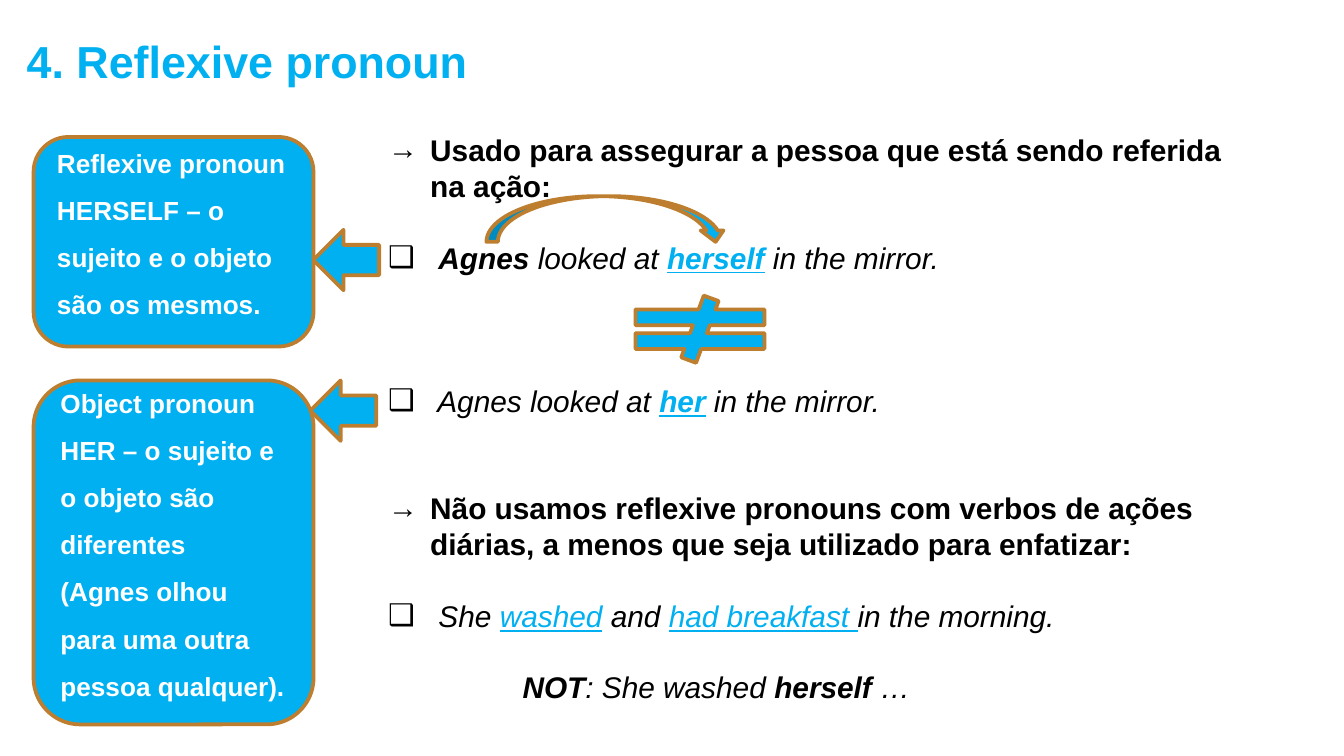
from lxml.etree import SubElement
from pptx import Presentation
from pptx.dml.color import RGBColor
from pptx.enum.shapes import MSO_SHAPE as Kind
from pptx.enum.text import MSO_ANCHOR as Anchor, PP_ALIGN as Align
from pptx.oxml.ns import qn
from pptx.util import Pt

BLUE, GOLD, BLACK, WHITE = "00B0F0", "BD7F2F", "000000", "FFFFFF"
ROW = 19.2

NOTES = [
    ("→", 0, [("Usado para assegurar a pessoa que está sendo referida na ação:", "b")]),
    ("❑", 1, [(" ", ""), ("Agnes", "bi"), (" looked at ", "i"),
              ("herself", "biu"), (" in the mirror.", "i")]),
    ("❑", 3, [(" Agnes looked at ", "i"), ("her", "biu"), (" in the mirror.", "i")]),
    ("→", 2, [("Não usamos reflexive pronouns com verbos de ações diárias, "
               "a menos que seja utilizado para enfatizar:", "b")]),
    ("❑", 1, [(" She ", "i"), ("washed", "iu"), (" and ", "i"),
              ("had breakfast ", "iu"), ("in the morning.", "i")]),
    ("", 1, [("NOT", "bi"), (": She washed ", "i"), ("herself ", "bi"), ("…", "i")]),
]


def color(fmt, code):
    """Set a colour format from a hex string."""
    fmt.rgb = RGBColor.from_string(code)


def style(run, size, code, marks="b"):
    """Format a run; marks are b for bold, i for italic, u for underline."""
    font = run.font
    font.name, font.size = "Arial", Pt(size)
    font.bold, font.italic, font.underline = (m in marks for m in "biu")
    font.fill.solid()
    color(font.fill.fore_color, code)


def add_box(slide, x, y, w, h):
    """Add a wrapping text box and return its text frame."""
    frame = slide.shapes.add_textbox(Pt(x), Pt(y), Pt(w), Pt(h)).text_frame
    frame.word_wrap = True
    return frame


def add_shape(slide, kind, x, y, w, h):
    """Add a blue shape with a gold outline."""
    shape = slide.shapes.add_shape(kind, Pt(x), Pt(y), Pt(w), Pt(h))
    shape.shadow.inherit = False
    shape.fill.solid()
    color(shape.fill.fore_color, BLUE)
    color(shape.line.color, GOLD)
    shape.line.width = Pt(2)
    return shape


def add_card(slide, y, h, text):
    """Add a rounded card with left-aligned white text."""
    frame = add_shape(slide, Kind.ROUNDED_RECTANGLE, 18, y, 150, h).text_frame
    frame.word_wrap = True
    frame.vertical_anchor = Anchor.MIDDLE
    frame.margin_bottom = Pt(20.4)
    frame.text = text
    for para in frame.paragraphs:
        para.alignment = Align.LEFT
        para.line_spacing = 1.5
        for run in para.runs:
            style(run, 14, WHITE)


def set_bullet(para, mark):
    """Give a paragraph a hanging bullet, or a plain indent without a mark."""
    props = para._p.get_or_add_pPr()
    props.set("marL", str(Pt(22.5 if mark else 72)))
    props.set("indent", str(Pt(-22.5 if mark else 0)))
    if mark:
        tint = SubElement(props, qn("a:buClr"))
        SubElement(tint, qn("a:srgbClr"), val=BLACK)
        SubElement(props, qn("a:buFont"), typeface="Arial")
        SubElement(props, qn("a:buChar"), char=mark)


def add_notes(slide):
    """Add the rules and their example sentences."""
    frame = add_box(slide, 200.9, 67, 462.2, 356.4)
    for i, (mark, gap, parts) in enumerate(NOTES):
        para = frame.add_paragraph() if i else frame.paragraphs[0]
        set_bullet(para, mark)
        if gap:
            para.space_before = Pt(gap * ROW)
        for text, marks in parts:
            run = para.add_run()
            run.text = text
            style(run, 16, BLUE if "u" in marks else BLACK, marks)


def main():
    """Build the slide and save it."""
    deck = Presentation()
    deck.slide_width, deck.slide_height = Pt(720), Pt(405)
    slide = deck.slides.add_slide(deck.slide_layouts[6])
    title = add_box(slide, 7.2, 14.4, 625, 36)
    title.text = "4. Reflexive pronoun"
    style(title.paragraphs[0].runs[0], 24, BLUE)
    add_shape(slide, Kind.LEFT_ARROW, 167.8, 123.1, 35.3, 32.4)
    add_shape(slide, Kind.LEFT_ARROW, 166.3, 203.8, 35.3, 32.4)
    add_card(slide, 73.4, 112.3, "Reflexive pronoun\nHERSELF – o sujeito e o objeto são os mesmos.")
    add_notes(slide)
    add_shape(slide, Kind.MATH_NOT_EQUAL, 328, 158.4, 94, 36)
    add_card(slide, 203.8, 184.3, "Object pronoun\nHER – o sujeito e o objeto são diferentes\n"
             "(Agnes olhou para uma outra pessoa qualquer).")
    add_shape(slide, Kind.CURVED_DOWN_ARROW, 260.6, 105.1, 128.9, 24.5)
    deck.save("out.pptx")


if __name__ == "__main__":
    main()
